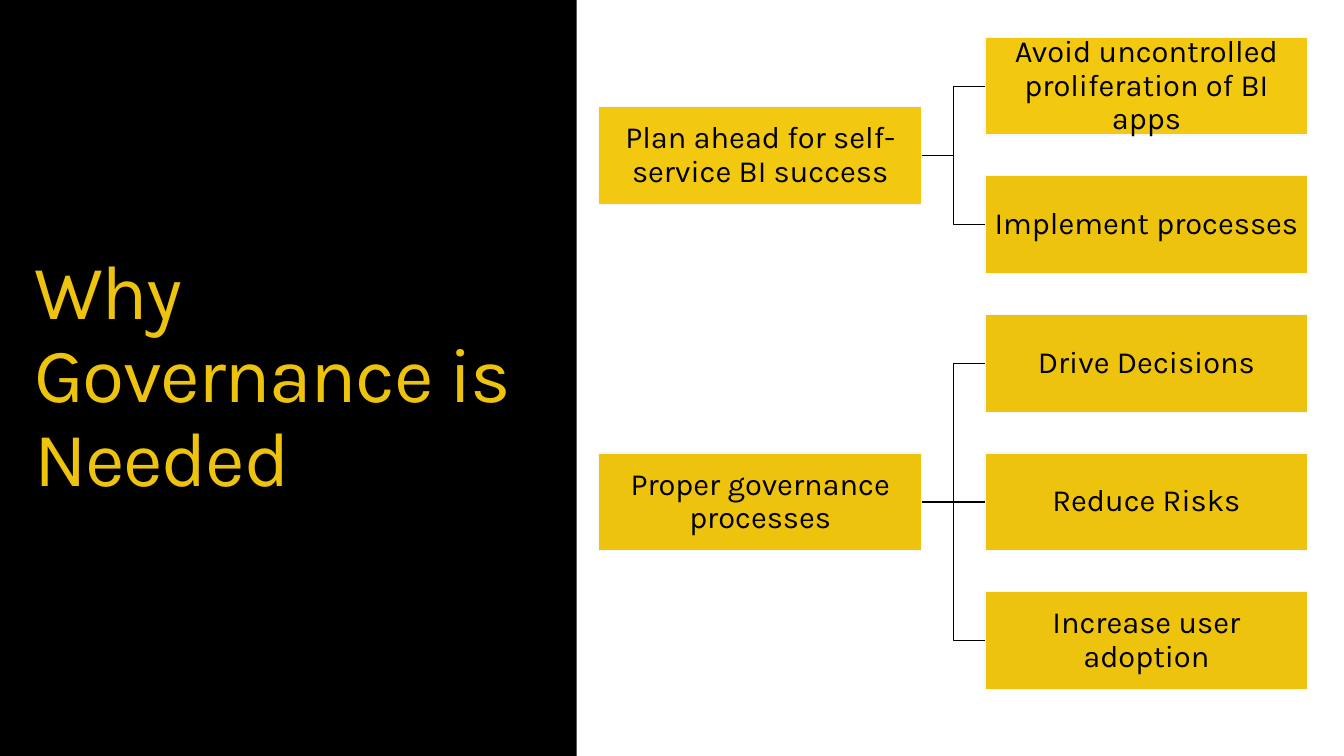
from lxml.etree import SubElement
from pptx import Presentation
from pptx.dml.color import RGBColor
from pptx.enum.shapes import MSO_CONNECTOR as CONN, MSO_SHAPE as SHAPE
from pptx.enum.text import MSO_ANCHOR as ANCHOR, MSO_AUTO_SIZE as AUTOSIZE, PP_ALIGN as ALIGN
from pptx.oxml.ns import qn
from pptx.util import Inches, Pt

TITLE = "Why Governance is Needed"
BRANCHES = [
    ("Plan ahead for self-service BI success", "bright",
     [("Avoid uncontrolled proliferation of BI apps", "bright"),
      ("Implement processes", "gold")]),
    ("Proper governance processes", "gold",
     [("Drive Decisions", "gold"),
      ("Reduce Risks", "gold"),
      ("Increase user adoption", "gold")]),
]
COLORS = {"black": "000000", "bright": "F2C811", "gold": "EDC30D", "edge": "F8F8F8"}
FONT = "Karla"
BOX_W, BOX_H = 3.2, 0.97
ROOT_X, LEAF_X = 5.94, 9.77
TOP, PITCH = 0.37, 1.375
LINE_W = 0.85


def rgb(name):
    return RGBColor.from_string(COLORS[name])


def add_text(tf, text, size, color, inset_x, inset_y):
    tf.word_wrap = True
    tf.auto_size = AUTOSIZE.NONE
    tf.vertical_anchor = ANCHOR.MIDDLE
    tf.margin_left = tf.margin_right = Inches(inset_x)
    tf.margin_top = tf.margin_bottom = Inches(inset_y)
    p = tf.paragraphs[0]
    p.line_spacing = 0.9
    r = p.add_run()
    r.text = text
    r.font.size = Pt(size)
    r.font.name = FONT
    r.font.color.rgb = rgb(color)
    return p, r


def add_rect(slide, x, y, w, h, fill):
    sp = slide.shapes.add_shape(SHAPE.RECTANGLE, Inches(x), Inches(y), Inches(w), Inches(h))
    sp.shadow.inherit = False
    sp.fill.solid()
    sp.fill.fore_color.rgb = rgb(fill)
    sp.line.fill.background()
    return sp


def add_box(slide, x, y, text, fill):
    sp = add_rect(slide, x, y, BOX_W, BOX_H, fill)
    sp.line.color.rgb = rgb("edge")
    sp.line.width = Pt(LINE_W)
    p, r = add_text(sp.text_frame, text, 22, "black", 0.02, 0.02)
    p.alignment = ALIGN.CENTER
    return sp


def add_link(slide, root, leaf):
    kind = CONN.STRAIGHT if root.top == leaf.top else CONN.ELBOW
    c = slide.shapes.add_connector(kind, 0, 0, 0, 0)
    c.begin_connect(root, 3)
    c.end_connect(leaf, 1)
    c.line.color.rgb = rgb("black")
    c.line.width = Pt(LINE_W)
    SubElement(c._element.spPr, qn("a:effectLst"))


def main():
    prs = Presentation()
    prs.slide_width, prs.slide_height = Inches(13.33), Inches(7.5)
    slide = prs.slides.add_slide(prs.slide_layouts[5])

    panel = add_rect(slide, 0, 0, 5.72, 7.5, "black")
    title = slide.shapes.title
    panel._element.addnext(title._element)
    title.left, title.top = Inches(0.18), Inches(2.46)
    title.width, title.height = Inches(5.39), Inches(2.58)
    p, r = add_text(title.text_frame, TITLE, 55, "gold", 0.16, 0.1)
    p.alignment = ALIGN.LEFT
    r.font._element.set("spc", "-100")

    row = 0
    for root_text, root_fill, leaves in BRANCHES:
        middle = row + (len(leaves) - 1) / 2
        root = add_box(slide, ROOT_X, TOP + middle * PITCH, root_text, root_fill)
        for leaf_text, leaf_fill in leaves:
            leaf = add_box(slide, LEAF_X, TOP + row * PITCH, leaf_text, leaf_fill)
            add_link(slide, root, leaf)
            row += 1

    prs.save("out.pptx")


if __name__ == "__main__":
    main()
